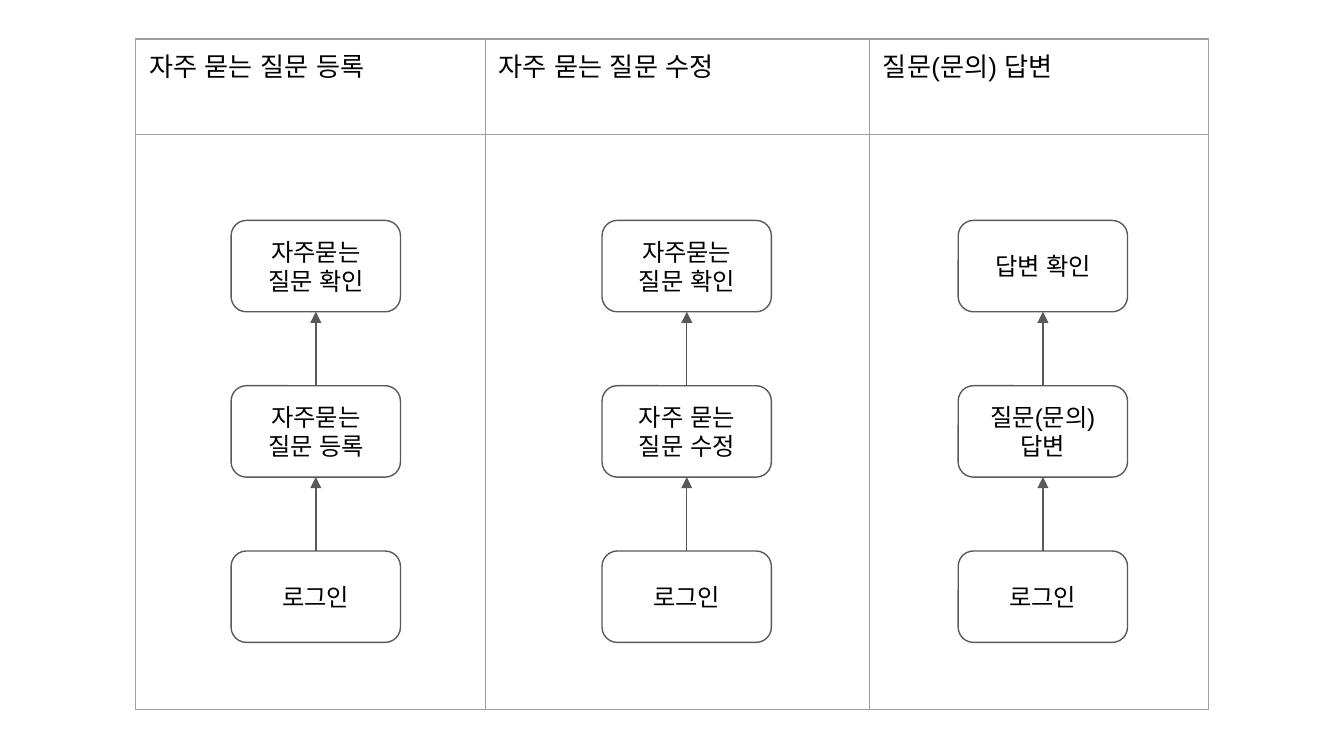
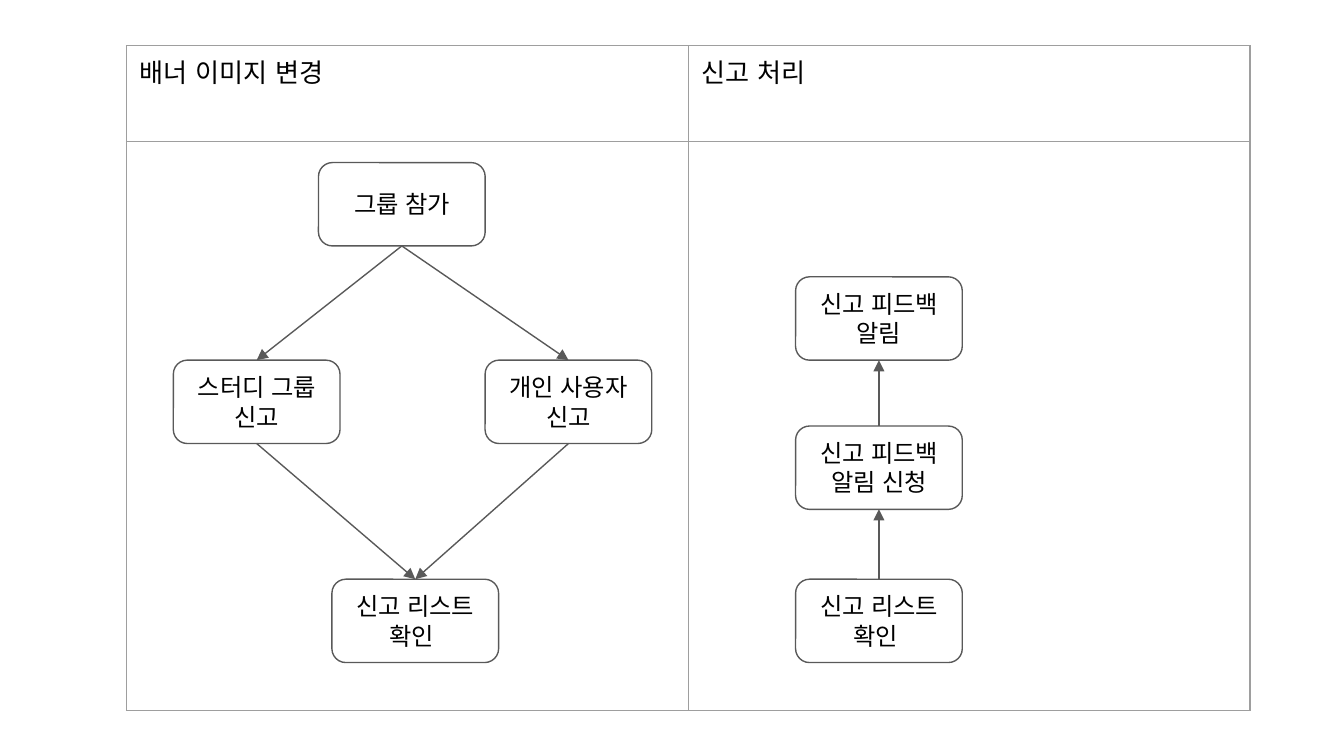
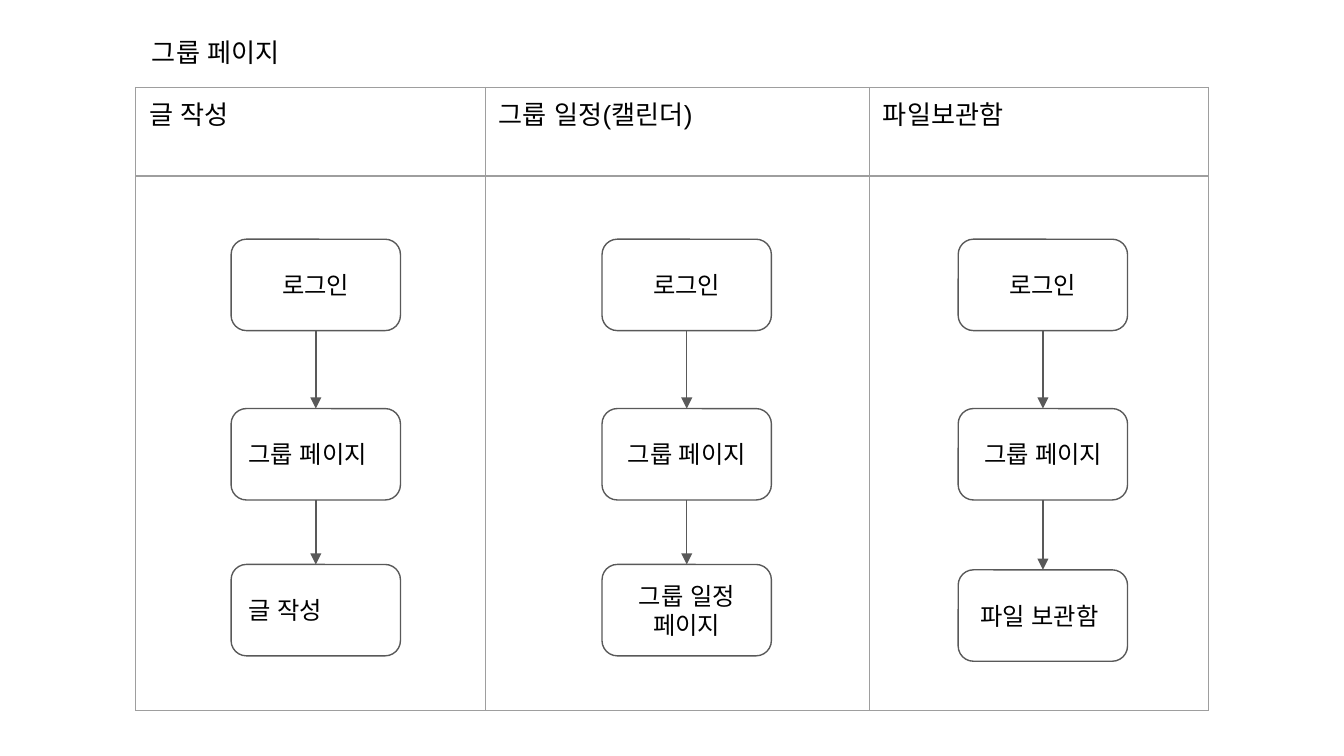
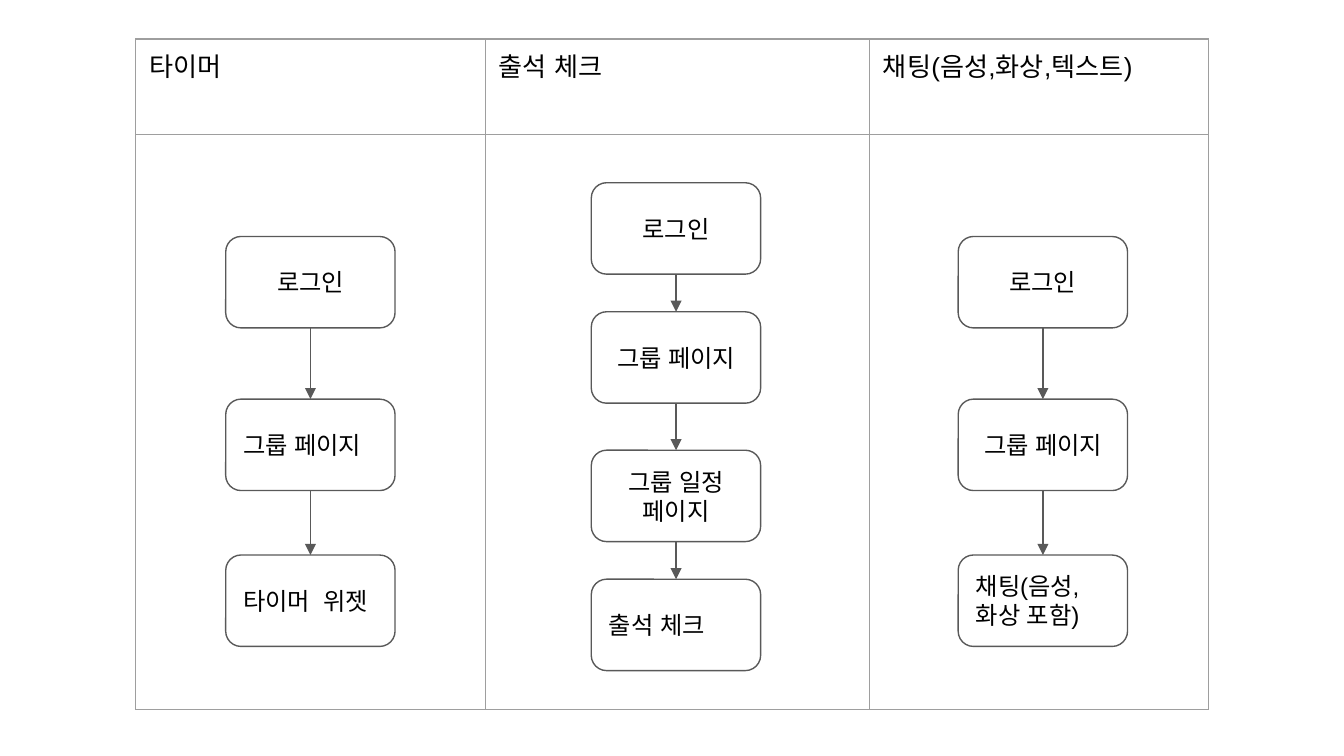
from dataclasses import dataclass

from lxml import etree
from pptx import Presentation
from pptx import util as u
from pptx.dml.color import RGBColor
from pptx.enum import shapes, text
from pptx.oxml import ns

COLORS = {"ink": "000000", "paper": "FFFFFF", "outline": "595959", "grid": "9E9E9E"}
FONT = "Arial"
HEADING_SIZE = 14
STEP_SIZE = 13
LINE_WIDTH = u.Pt(0.75)
INSET = u.Inches(0.1)
CENTER, LEFT = text.PP_ALIGN.CENTER, text.PP_ALIGN.LEFT
TITLE_ONLY, BLANK = 5, 6
TOP_SITE, BOTTOM_SITE = 0, 2  # connection sites of a rounded rectangle


@dataclass(frozen=True)
class Grid:
    """Table with a heading row above one tall cell per column."""
    left: float
    top: float
    column_widths: tuple[float, ...]
    heading_height: float
    body_row_height: float
    headings: tuple[str, ...]


@dataclass(frozen=True)
class Step:
    label: str
    top: float
    align: text.PP_ALIGN = CENTER


@dataclass(frozen=True)
class Flow:
    """Steps of one column, in the order in which the arrows run."""
    center: float
    steps: tuple[Step, ...]


@dataclass(frozen=True)
class BoxSize:
    width: float
    height: float


THREE_COLUMNS = (2.6, 2.86, 2.52)
LARGE_BOX = BoxSize(1.26, 0.68)
SMALL_BOX = BoxSize(1.24, 0.62)


def color(name: str) -> RGBColor:
    return RGBColor.from_string(COLORS[name])


def write(holder, content: str, *, size: int, align=LEFT, anchor=text.MSO_ANCHOR.TOP) -> None:
    """Fill a table cell or a text frame with one formatted paragraph."""
    holder.margin_left = holder.margin_right = INSET
    holder.margin_top = holder.margin_bottom = INSET
    holder.vertical_anchor = anchor
    frame = getattr(holder, "text_frame", holder)
    frame.word_wrap = True
    paragraph = frame.paragraphs[0]
    paragraph.alignment = align
    run = paragraph.add_run()
    run.text = content
    run.font.name = FONT
    run.font.size = u.Pt(size)
    run.font.color.rgb = color("ink")
    for script in ("a:ea", "a:cs"):
        etree.SubElement(run._r.get_or_add_rPr(), ns.qn(script), typeface=FONT)


def add_borders(cell) -> None:
    properties = cell._tc.get_or_add_tcPr()
    for index, side in enumerate(("a:lnL", "a:lnR", "a:lnT", "a:lnB")):
        border = etree.Element(ns.qn(side), w=str(LINE_WIDTH))
        fill = etree.SubElement(border, ns.qn("a:solidFill"))
        etree.SubElement(fill, ns.qn("a:srgbClr"), val=COLORS["grid"])
        properties.insert(index, border)


def add_grid(slide, grid: Grid) -> None:
    row_heights = (grid.heading_height, grid.body_row_height, grid.body_row_height)
    table = slide.shapes.add_table(
        len(row_heights), len(grid.column_widths),
        u.Inches(grid.left), u.Inches(grid.top),
        u.Inches(sum(grid.column_widths)), u.Inches(sum(row_heights)),
    ).table
    table.first_row = table.horz_banding = False
    for row, height in zip(table.rows, row_heights):
        row.height = u.Inches(height)
    for cell in table.iter_cells():
        cell.fill.background()
        add_borders(cell)
    for index, (width, heading) in enumerate(zip(grid.column_widths, grid.headings)):
        table.columns[index].width = u.Inches(width)
        write(table.cell(0, index), heading, size=HEADING_SIZE)
        table.cell(1, index).merge(table.cell(2, index))


def add_step(slide, step: Step, center: float, size: BoxSize):
    box = slide.shapes.add_shape(
        shapes.MSO_SHAPE.ROUNDED_RECTANGLE,
        u.Inches(center - size.width / 2), u.Inches(step.top),
        u.Inches(size.width), u.Inches(size.height),
    )
    box.shadow.inherit = False
    box.fill.solid()
    box.fill.fore_color.rgb = color("paper")
    box.line.color.rgb = color("outline")
    box.line.width = LINE_WIDTH
    write(box.text_frame, step.label, size=STEP_SIZE, align=step.align,
          anchor=text.MSO_ANCHOR.MIDDLE)
    return box


def add_arrow(slide, source, target) -> None:
    """Join the facing top and bottom edges of two boxes."""
    downward = source.top < target.top
    arrow = slide.shapes.add_connector(shapes.MSO_CONNECTOR.STRAIGHT, 0, 0, 0, 0)
    arrow.begin_connect(source, BOTTOM_SITE if downward else TOP_SITE)
    arrow.end_connect(target, TOP_SITE if downward else BOTTOM_SITE)
    arrow.line.color.rgb = color("outline")
    arrow.line.width = LINE_WIDTH
    etree.SubElement(arrow.line._get_or_add_ln(), ns.qn("a:tailEnd"), type="triangle")
    etree.SubElement(arrow._element.spPr, ns.qn("a:effectLst"))


def add_flow(slide, flow: Flow, size: BoxSize = LARGE_BOX) -> None:
    boxes = [add_step(slide, step, flow.center, size) for step in flow.steps]
    for source, target in zip(boxes, boxes[1:]):
        add_arrow(slide, source, target)


def add_title(slide, content: str) -> None:
    title = slide.shapes.title
    title.left, title.top = u.Inches(1.03), u.Inches(0.17)
    title.width, title.height = u.Inches(2.31), u.Inches(0.67)
    title.text_frame.auto_size = text.MSO_AUTO_SIZE.NONE
    write(title.text_frame, content, size=HEADING_SIZE)


def add_slide(presentation, grid: Grid, flows: tuple[Flow, ...],
              size: BoxSize = LARGE_BOX, title: str = ""):
    layout = presentation.slide_layouts[TITLE_ONLY if title else BLANK]
    slide = presentation.slides.add_slide(layout)
    if title:
        add_title(slide, title)
    add_grid(slide, grid)
    for flow in flows:
        add_flow(slide, flow, size)
    return slide


def add_questions_slide(presentation) -> None:
    headings = ("자주 묻는 질문 등록", "자주 묻는 질문 수정", "질문(문의) 답변")
    columns = (
        (2.35, ("로그인", "자주묻는 질문 등록", "자주묻는 질문 확인")),
        (5.11, ("로그인", "자주 묻는 질문 수정", "자주묻는 질문 확인")),
        (7.76, ("로그인", "질문(문의) 답변", "답변 확인")),
    )
    flows = tuple(
        Flow(center, tuple(Step(label, 4.1 - 1.23 * index)
                           for index, label in enumerate(labels)))
        for center, labels in columns
    )
    add_slide(presentation, Grid(1.01, 0.29, THREE_COLUMNS, 0.71, 2.14, headings), flows)


def add_reports_slide(presentation) -> None:
    report_list = Step("신고 리스트 확인 ", 4.31)
    feedback = Flow(6.54, (
        report_list, Step("신고 피드백 알림 신청", 3.17), Step("신고 피드백 알림", 2.06)))
    grid = Grid(0.94, 0.34, (4.18, 4.18), 0.71, 2.12, ("배너 이미지 변경", "신고 처리"))
    slide = add_slide(presentation, grid, (feedback,), SMALL_BOX)

    join = add_step(slide, Step("그룹 참가", 1.21), 2.99, SMALL_BOX)
    confirm = add_step(slide, report_list, 3.09, SMALL_BOX)
    for label, center in (("스터디 그룹 신고", 1.91), ("개인 사용자 신고", 4.23)):
        report = add_step(slide, Step(label, 2.68), center, SMALL_BOX)
        add_arrow(slide, join, report)
        add_arrow(slide, report, confirm)


def add_group_page_slide(presentation) -> None:
    login = Step("로그인", 1.78)
    group_page = Step("그룹 페이지", 3.04)
    flows = (
        Flow(2.35, (login, Step("그룹 페이지", 3.04, LEFT), Step("글 작성", 4.2, LEFT))),
        Flow(5.11, (login, group_page, Step("그룹 일정 페이지", 4.2))),
        Flow(7.76, (login, group_page, Step("파일 보관함 ", 4.24))),
    )
    headings = ("글 작성", "그룹 일정(캘린더)", "파일보관함")
    add_slide(presentation, Grid(1.01, 0.65, THREE_COLUMNS, 0.66, 1.99, headings),
              flows, title="그룹 페이지")


def add_group_tools_slide(presentation) -> None:
    login = Step("로그인", 1.76)
    flows = (
        Flow(2.31, (login, Step("그룹 페이지", 2.97, LEFT),
                    Step("타이머  위젯", 4.13, LEFT))),
        Flow(5.03, (Step("로그인", 1.36), Step("그룹 페이지", 2.32),
                    Step("그룹 일정 페이지", 3.35), Step("출석 체크", 4.31, LEFT))),
        Flow(7.76, (login, Step("그룹 페이지", 2.97),
                    Step("채팅(음성,화상 포함)", 4.13, LEFT))),
    )
    headings = ("타이머", "출석 체크", "채팅(음성,화상,텍스트)")
    add_slide(presentation, Grid(1.01, 0.29, THREE_COLUMNS, 0.71, 2.14, headings), flows)


def main() -> None:
    presentation = Presentation()
    presentation.slide_width = u.Inches(10)
    presentation.slide_height = presentation.slide_width * 9 // 16
    add_questions_slide(presentation)
    add_reports_slide(presentation)
    add_group_page_slide(presentation)
    add_group_tools_slide(presentation)
    presentation.save("out.pptx")


if __name__ == "__main__":
    main()
